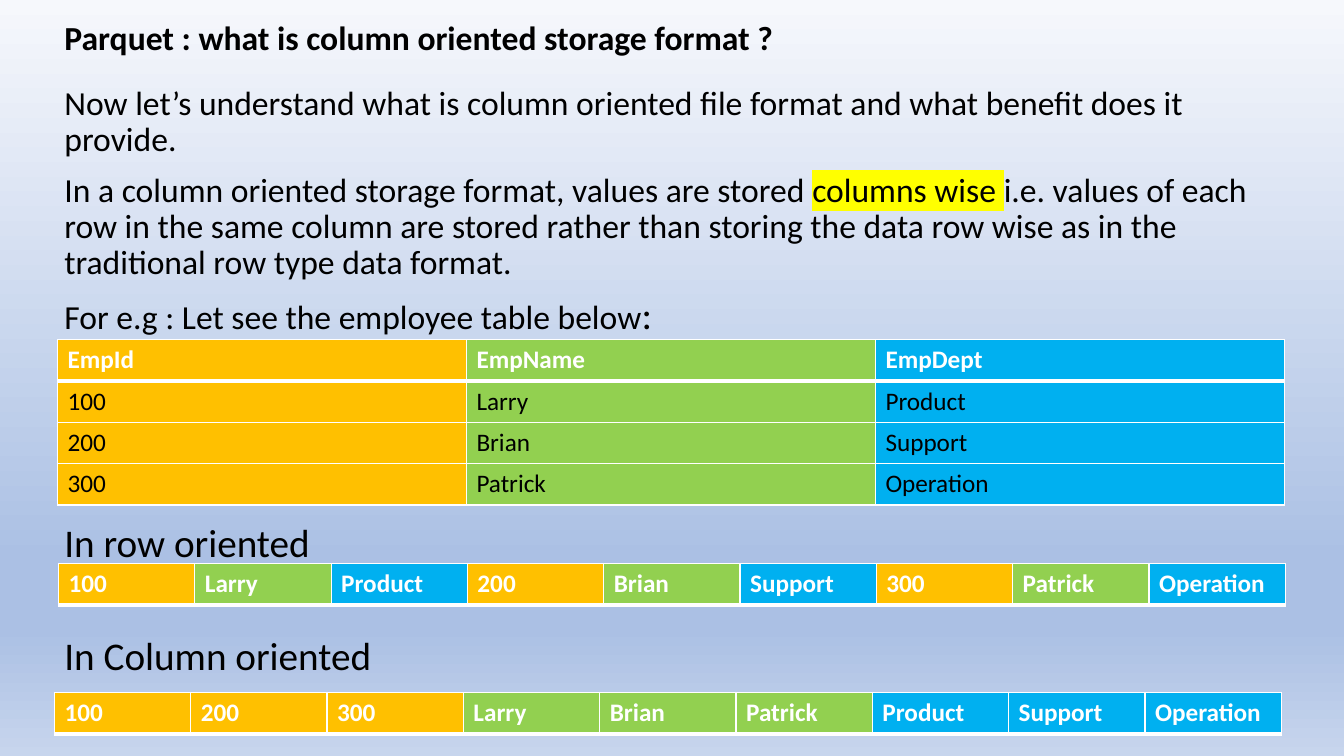
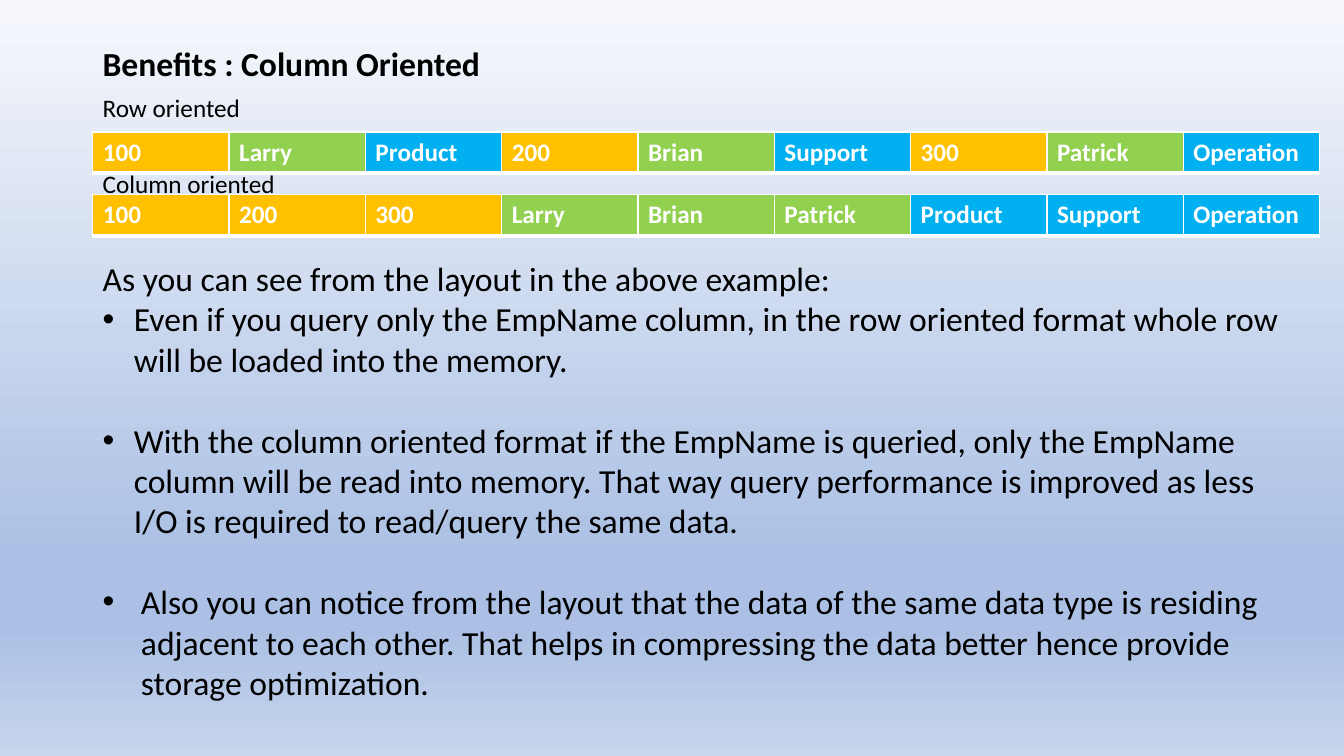
import lxml.etree
import pptx
import pptx.dml.color
import pptx.enum.text
import pptx.oxml.ns
import pptx.util

Inches = pptx.util.Inches
Pt = pptx.util.Pt

FONT = "Calibri"
HUES = {
    "text": "000000",
    "white": "FFFFFF",
    "mark": "FFFF00",
    "EmpId": "FFC000",
    "EmpName": "92D050",
    "EmpDept": "00B0F0",
}
# Background stops: position in percent and colour
STOPS = [(0, "F6F8FC"), (74, "ABC0E4"), (83, "ABC0E4"), (100, "C7D5ED")]

FIELDS = ["EmpId", "EmpName", "EmpDept"]
STAFF = [
    ["100", "Larry", "Product"],
    ["200", "Brian", "Support"],
    ["300", "Patrick", "Operation"],
]
WIDTH = 12.17  # all tables
ROW = 0.41


# XML helpers
def add(node, tag, **attrs):
    return lxml.etree.SubElement(node, pptx.oxml.ns.qn(tag), attrs)


def add_hue(node, hue):
    add(node, "a:srgbClr", val=hue)


def paint(master):
    """Give every slide the same vertical gradient."""
    fill = master.background.fill
    fill.gradient()
    fill.gradient_angle = 270
    stops = master.element.find(".//" + pptx.oxml.ns.qn("a:gsLst"))
    for stop in list(stops):
        stops.remove(stop)
    for pos, hue in STOPS:
        add_hue(add(stops, "a:gs", pos=str(pos * 1000)), hue)


# Text
def style(para, size, hue="text", bold=False):
    font = para.font
    font.name, font.size, font.bold = FONT, Pt(size), bold
    font.color.rgb = pptx.dml.color.RGBColor.from_string(HUES[hue])


def add_box(slide, left, top, width, height):
    box = slide.shapes.add_textbox(
        Inches(left), Inches(top), Inches(width), Inches(height))
    box.text_frame.word_wrap = True
    return box.text_frame


def add_text(slide, text, left, top, width, height, size, bold=False, lead=1.0):
    frame = add_box(slide, left, top, width, height)
    para = frame.paragraphs[0]
    para.text = text
    para.line_spacing = lead
    style(para, size, bold=bold)
    return frame


def add_title(slide, text, left, top, width):
    frame = add_text(slide, text, left, top, width, 0.5, 24, bold=True, lead=0.9)
    frame.vertical_anchor = pptx.enum.text.MSO_ANCHOR.MIDDLE


def next_para(frame, first, gap):
    if first:
        return frame.paragraphs[0]
    para = frame.add_paragraph()
    para.space_before = Pt(gap)
    return para


def mark(run):
    add_hue(add(run._r.get_or_add_rPr(), "a:highlight"), HUES["mark"])


def add_bullet(para, indent):
    props = para._p.get_or_add_pPr()
    props.set("marL", str(Inches(indent)))
    props.set("indent", str(-Inches(indent)))
    add(props, "a:buFont", typeface="Arial")
    add(props, "a:buChar", char="•")


# Tables
def edge(cell, side, width):
    line = add(cell._tc.get_or_add_tcPr(), "a:ln" + side, w=str(Pt(width)))
    add_hue(add(line, "a:solidFill"), HUES["white"])


def add_table(slide, rows, left, top):
    """Rows hold (text, field) pairs; the first row is a bold header."""
    cols = len(rows[0])
    table = slide.shapes.add_table(
        len(rows), cols, Inches(left), Inches(top),
        Inches(WIDTH), Inches(ROW * len(rows))).table
    table.first_row = table.horz_banding = False
    for col in table.columns:
        col.width = Inches(WIDTH / cols)
    for i, row in enumerate(rows):
        table.rows[i].height = Inches(ROW)
        for j, (text, field) in enumerate(row):
            cell = table.cell(i, j)
            widths = {"L": 1, "R": 1, "T": 3 if i == 1 else 1,
                      "B": 3 if i == 0 else 1}
            for side, width in widths.items():
                edge(cell, side, width)
            cell.fill.solid()
            cell.fill.fore_color.rgb = pptx.dml.color.RGBColor.from_string(HUES[field])
            para = cell.text_frame.paragraphs[0]
            para.text = text
            style(para, 18, "text" if i else "white", bold=i == 0)


def tag_row(row):
    return list(zip(row, FIELDS))


def row_strip():
    return [[pair for row in STAFF for pair in tag_row(row)]]


def col_strip():
    return [[(row[j], field) for j, field in enumerate(FIELDS) for row in STAFF]]


# Slides
def format_slide(slide):
    add_title(slide, "Parquet : what is column oriented storage format ?", 0.54, 0.14, 11.78)
    frame = add_box(slide, 0.54, 0.81, 12.39, 2.6)
    paras = [
        ["Now let’s understand what is column oriented file format and what "
         "benefit does it provide."],
        ["In a column oriented storage format, values are stored ",
         "columns wise ",
         "i.e. values of each row in the same column are stored rather than "
         "storing the data row wise as in the traditional row type data format."],
        ["For e.g : Let see the employee table below", ":"],
    ]
    for i, texts in enumerate(paras):
        para = next_para(frame, i == 0, 10)
        para.line_spacing = 0.9
        style(para, 24)
        for text in texts:
            run = para.add_run()
            run.text = text
            if text == "columns wise ":
                mark(run)
            elif text == ":":
                run.font.size = Pt(28)

    add_table(slide, [tag_row(row) for row in [FIELDS] + STAFF], 0.57, 3.37)
    add_text(slide, "In row oriented", 0.54, 5.15, 12.39, 0.53, 28, lead=0.9)
    add_table(slide, row_strip(), 0.58, 5.59)
    add_text(slide, "In Column oriented", 0.54, 6.27, 12.39, 0.53, 28, lead=0.9)
    add_table(slide, col_strip(), 0.54, 6.87)


def benefit_slide(slide):
    left = 0.92
    add_title(slide, "Benefits : Column Oriented", left, 0.4, 11.5)
    frame = add_text(slide, "As you can see from the layout in the above example:",
                     left, 2.51, 11.94, 4.95, 24)
    # Bullet text, indent in inches, space before in points
    points = [
        ("Even if you query only the EmpName column, in the row oriented format "
         "whole row will be loaded into the memory.", 0.31, 0),
        ("With the column oriented format if the EmpName is queried, only the "
         "EmpName column will be read into memory. That way query performance is "
         "improved as less I/O is required to read/query the same data.", 0.31, 29),
        ("Also you can notice from the layout that the data of the same data type "
         "is residing adjacent to each other. That helps in compressing the data "
         "better hence provide storage optimization.", 0.38, 29),
    ]
    for text, indent, gap in points:
        para = next_para(frame, False, gap)
        para.text = text
        add_bullet(para, indent)
        style(para, 24)

    add_text(slide, "Row oriented", left, 0.87, 3.67, 0.4, 18)
    add_text(slide, "Column oriented", left, 1.62, 3.67, 0.4, 18)
    add_table(slide, row_strip(), left, 1.31)
    add_table(slide, col_strip(), left, 1.93)


def main():
    deck = pptx.Presentation()
    deck.slide_width, deck.slide_height = Inches(13.33), Inches(7.5)
    paint(deck.slide_master)
    for build in (format_slide, benefit_slide):
        build(deck.slides.add_slide(deck.slide_layouts[6]))
    deck.save("out.pptx")


if __name__ == "__main__":
    main()
